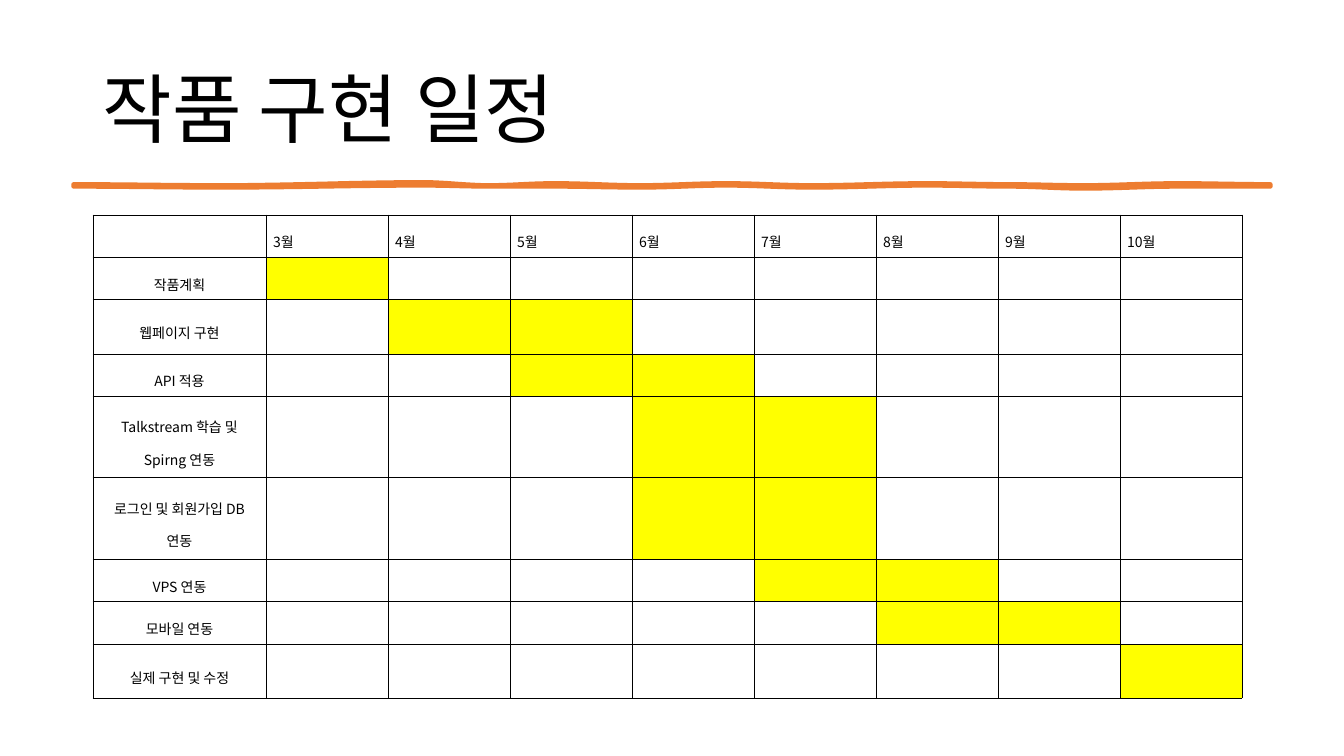
from dataclasses import dataclass
from math import cos, pi

from lxml.etree import SubElement
from pptx import Presentation
from pptx.dml.color import RGBColor
from pptx.enum.text import MSO_ANCHOR, MSO_AUTO_SIZE, PP_ALIGN
from pptx.oxml.ns import qn
from pptx.util import Inches, Pt


@dataclass(frozen=True)
class Theme:
    font: str = "Noto Sans CJK KR"
    ink: RGBColor = RGBColor(0x00, 0x00, 0x00)
    accent: RGBColor = RGBColor(0xED, 0x7D, 0x31)
    scheduled: RGBColor = RGBColor(0xFF, 0xFF, 0x00)
    title_size: float = 54
    table_size: float = 10
    rule_width: float = 3.25
    grid_width: float = 0.28


MONTHS = [f"{month}월" for month in range(3, 11)]

# Task, first month, last month, row height
TASKS = [
    ("작품계획", 3, 3, 0.42),
    ("웹페이지 구현", 4, 5, 0.54),
    ("API 적용", 5, 6, 0.42),
    ("Talkstream 학습 및 Spirng 연동", 6, 7, 0.81),
    ("로그인 및 회원가입 DB 연동", 6, 7, 0.81),
    ("VPS 연동", 7, 8, 0.42),
    ("모바일 연동", 8, 9, 0.42),
    ("실제 구현 및 수정", 10, 10, 0.54),
]
HEADER_HEIGHT, TASK_WIDTH, MONTH_WIDTH = 0.42, 1.72, 1.21

# Crests and troughs of the hand-drawn rule: x, upper edge, lower edge
RULE_WAVES = [
    (0.73, 1.83, 1.85), (2.2, 1.84, 1.86), (4.2, 1.81, 1.84),
    (4.85, 1.84, 1.85), (5.5, 1.82, 1.85), (6.35, 1.84, 1.86),
    (7.2, 1.82, 1.84), (8.05, 1.84, 1.86), (9.2, 1.82, 1.84),
    (10.0, 1.83, 1.85), (10.75, 1.84, 1.87), (11.7, 1.82, 1.85),
    (12.6, 1.83, 1.85),
]


def smooth_edge(points, steps=8):
    """Ease from each crest to the next trough."""
    edge = [points[0]]
    for (x0, y0), (x1, y1) in zip(points, points[1:]):
        for step in range(1, steps + 1):
            share = step / steps
            ease = (1 - cos(pi * share)) / 2
            edge.append((x0 + (x1 - x0) * share, y0 + (y1 - y0) * ease))
    return edge


class ScheduleSlide:
    def __init__(self, presentation, theme):
        self.theme = theme
        self.slide = presentation.slides.add_slide(presentation.slide_layouts[5])

    def format_text(self, frame, size, align, spacing):
        for paragraph in frame.paragraphs:
            paragraph.alignment = align
            paragraph.line_spacing = spacing
            for run in paragraph.runs:
                run.font.size = Pt(size)
                run.font.name = self.theme.font
                run.font.color.rgb = self.theme.ink
                east_asian = SubElement(run.font._element, qn("a:ea"))
                east_asian.set("typeface", self.theme.font)

    def title(self, text, left, top, width, height):
        heading = self.slide.shapes.title
        heading.left, heading.top = Inches(left), Inches(top)
        heading.width, heading.height = Inches(width), Inches(height)
        frame = heading.text_frame
        frame.text = text
        frame.auto_size = MSO_AUTO_SIZE.NONE
        frame.vertical_anchor = MSO_ANCHOR.MIDDLE
        self.format_text(frame, self.theme.title_size, PP_ALIGN.LEFT, 0.9)

    def wavy_rule(self, waves):
        upper = smooth_edge([(x, top) for x, top, _ in waves])
        lower = smooth_edge([(x, bottom) for x, _, bottom in waves])
        outline = [(Inches(x), Inches(y)) for x, y in upper + lower[::-1]]
        builder = self.slide.shapes.build_freeform(*outline[0])
        builder.add_line_segments(outline[1:], close=True)
        rule = builder.convert_to_shape()
        rule.shadow.inherit = False
        rule.fill.solid()
        rule.fill.fore_color.rgb = self.theme.accent
        rule.line.color.rgb = self.theme.accent
        rule.line.width = Pt(self.theme.rule_width)

    def cell(self, cell, text="", align=PP_ALIGN.CENTER, scheduled=False):
        cell.margin_left = cell.margin_right = Inches(0.07)
        cell.margin_top = cell.margin_bottom = Inches(0.02)
        cell.vertical_anchor = MSO_ANCHOR.MIDDLE
        properties = cell._tc.get_or_add_tcPr()
        for side in ("a:lnL", "a:lnR", "a:lnT", "a:lnB"):
            border = SubElement(properties, qn(side), w=str(Pt(self.theme.grid_width)))
            color = SubElement(SubElement(border, qn("a:solidFill")), qn("a:srgbClr"))
            color.set("val", str(self.theme.ink))
        if scheduled:
            cell.fill.solid()
            cell.fill.fore_color.rgb = self.theme.scheduled
        else:
            cell.fill.background()
        if text:
            cell.text_frame.text = text
            self.format_text(cell.text_frame, self.theme.table_size, align, 1.6)

    def schedule(self, left, top, months, tasks):
        heights = [HEADER_HEIGHT] + [height for *_, height in tasks]
        widths = [TASK_WIDTH] + [MONTH_WIDTH] * len(months)
        table = self.slide.shapes.add_table(
            len(heights), len(widths), Inches(left), Inches(top),
            Inches(sum(widths)), Inches(sum(heights))).table
        table.first_row = table.horz_banding = False
        for column, width in zip(table.columns, widths):
            column.width = Inches(width)
        for row, height in zip(table.rows, heights):
            row.height = Inches(height)

        # Month header
        for column, month in enumerate([""] + months):
            self.cell(table.cell(0, column), month, PP_ALIGN.JUSTIFY)

        # Tasks with their scheduled months
        for row, (task, first, last, _) in enumerate(tasks, start=1):
            self.cell(table.cell(row, 0), task)
            for column in range(1, len(widths)):
                self.cell(table.cell(row, column),
                          scheduled=first <= column + 2 <= last)


def main():
    presentation = Presentation()
    presentation.slide_width = Inches(13.33)
    presentation.slide_height = Inches(7.5)
    page = ScheduleSlide(presentation, Theme())
    page.title("작품 구현 일정", 0.92, 0.4, 11.5, 1.45)
    page.wavy_rule(RULE_WAVES)
    page.schedule(0.92, 2.13, MONTHS, TASKS)
    presentation.save("out.pptx")


if __name__ == "__main__":
    main()
